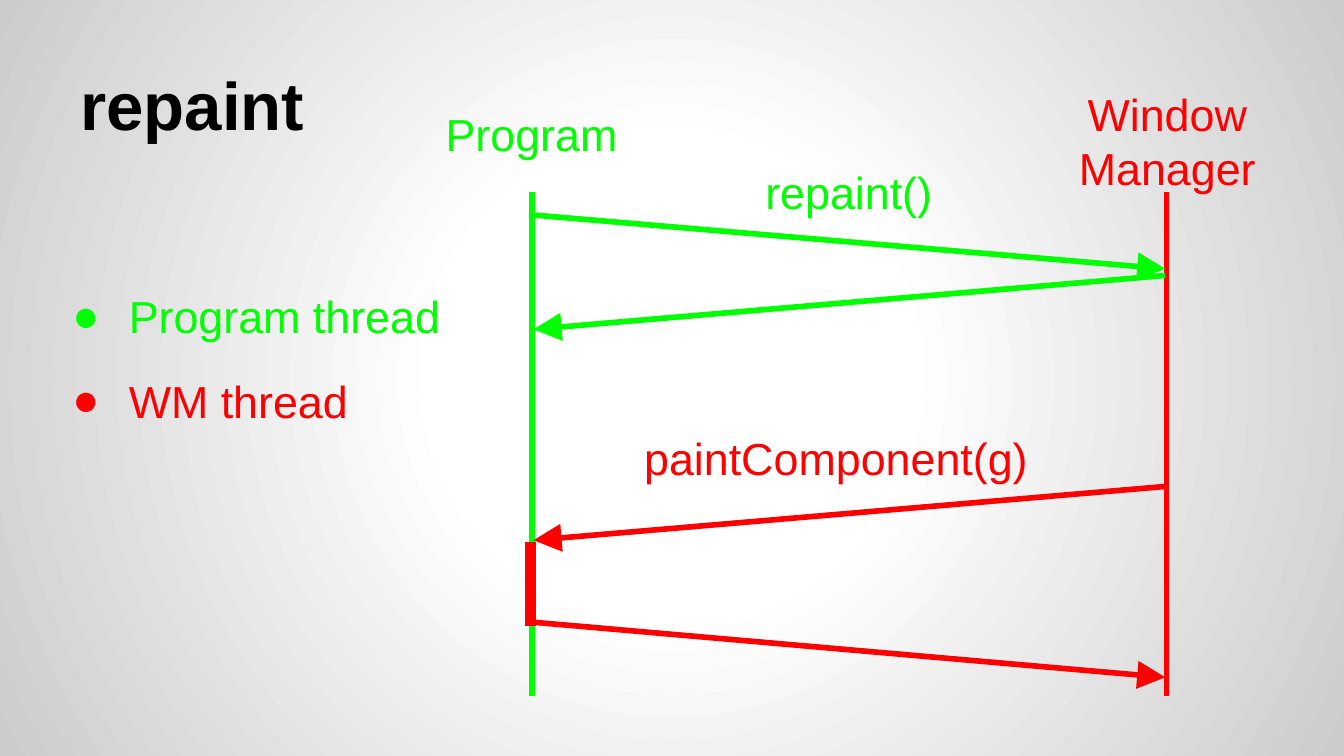
from dataclasses import dataclass
from lxml import etree
from pptx import Presentation
from pptx.dml.color import RGBColor as Rgb
from pptx.enum.shapes import MSO_CONNECTOR as Link
from pptx.enum.text import MSO_ANCHOR as Anchor, PP_ALIGN as Align
from pptx.oxml.ns import qn
from pptx.util import Inches, Pt

INK = {"black": "000000", "green": "00FF00", "red": "FF0000", "white": "FFFFFF", "gray": "CCCCCC"}
FONT = "Arial"
WIDTH = 10
LEFT, RIGHT = 3.96, 8.68
TOP, BOTTOM = 1.43, 5.18
GAP = 0.01


@dataclass
class Line:
    x1: float
    y1: float
    x2: float
    y2: float
    ink: str
    width: float = 3
    arrow: bool = False


@dataclass
class Label:
    text: str
    x: float
    y: float
    w: float
    h: float
    ink: str


def call(y1: float, y2: float, ink: str, back: bool = False) -> Line:
    start, end = LEFT + GAP, RIGHT - GAP
    if back:
        start, end = end, start
    return Line(start, y1, end, y2, ink, arrow=True)


LINES = [
    Line(LEFT, TOP, LEFT, BOTTOM, "green"),
    Line(RIGHT, TOP, RIGHT, BOTTOM, "red"),
    call(1.6, 2, "green"),
    call(2.05, 2.45, "green", True),
    call(3.62, 4.02, "red", True),
    call(4.63, 5.04, "red"),
]
PAINT = Line(3.95, 4.03, 3.95, 4.66, "red", 6)
LABELS = [
    Label("Program", 3.12, 0.65, 1.67, 0.69, "green"),
    Label("Window Manager", 7.85, 0.65, 1.67, 0.79, "red"),
    Label("repaint()", 5.48, 1.08, 1.67, 0.69, "green"),
    Label("paintComponent(g)", 4.59, 3.06, 3.26, 0.69, "red"),
]
THREADS = [("Program thread", "green"), ("WM thread", "red")]


def color(ink: str) -> Rgb:
    return Rgb.from_string(INK[ink])


def sub(node, tag: str, **attrs: str):
    return etree.SubElement(node, qn(tag), attrs)


def paint_back(slide) -> None:
    fill = slide.background.fill
    fill.gradient()
    grad = slide.background._cSld.find(".//" + qn("a:gradFill"))
    for node in list(grad):
        grad.remove(node)
    stops = sub(grad, "a:gsLst")
    for pos, ink in [(0, "white"), (30, "white"), (100, "gray")]:
        stop = sub(stops, "a:gs", pos=str(pos * 1000))
        sub(stop, "a:srgbClr", val=INK[ink])
    way = sub(grad, "a:path", path="circle")
    sub(way, "a:fillToRect", l="50000", t="50000", r="50000", b="50000")


def draw_line(slide, item: Line) -> None:
    ends = [Inches(v) for v in (item.x1, item.y1, item.x2, item.y2)]
    link = slide.shapes.add_connector(Link.STRAIGHT, *ends)
    link.line.color.rgb = color(item.ink)
    link.line.width = Pt(item.width)
    if item.arrow:
        sub(link.line._get_or_add_ln(), "a:tailEnd", type="triangle", w="lg", len="lg")
    sub(link._element.spPr, "a:effectLst")


def add_frame(slide, x: float, y: float, w: float, h: float, anchor: Anchor):
    frame = slide.shapes.add_textbox(Inches(x), Inches(y), Inches(w), Inches(h)).text_frame
    frame.word_wrap = True
    frame.vertical_anchor = anchor
    frame.margin_left = frame.margin_right = Inches(0.1)
    frame.margin_top = frame.margin_bottom = Inches(0.1)
    return frame


def write(para, text: str, ink: str, size: int = 24, bold: bool = False) -> None:
    para.text = text
    font = para.font
    font.name, font.size, font.bold = FONT, Pt(size), bold
    font.color.rgb = color(ink)


def draw_label(slide, item: Label) -> None:
    frame = add_frame(slide, item.x, item.y, item.w, item.h, Anchor.MIDDLE)
    para = frame.paragraphs[0]
    write(para, item.text, item.ink)
    para.alignment = Align.CENTER


def draw_list(slide) -> None:
    frame = add_frame(slide, 0.36, 2.05, 3.39, 2.07, Anchor.TOP)
    for i, (text, ink) in enumerate(THREADS):
        para = frame.add_paragraph() if i else frame.paragraphs[0]
        para.space_before = Pt(16.5 if i else 0)
        props = para._p.get_or_add_pPr()
        props.set("marL", str(Inches(0.5)))
        props.set("indent", str(Inches(-0.42)))
        sub(sub(props, "a:buClr"), "a:srgbClr", val=INK[ink])
        sub(props, "a:buFont", typeface=FONT)
        sub(props, "a:buChar", char="●")
        write(para, text, ink)


def main() -> None:
    deck = Presentation()
    deck.slide_width = Inches(WIDTH)
    deck.slide_height = Inches(WIDTH * 9 / 16)
    slide = deck.slides.add_slide(deck.slide_layouts[6])
    paint_back(slide)
    title = add_frame(slide, 0.5, 0.23, 9, 0.94, Anchor.BOTTOM)
    write(title.paragraphs[0], "repaint", "black", 36, True)
    for item in LINES:
        draw_line(slide, item)
    for item in LABELS:
        draw_label(slide, item)
    draw_line(slide, PAINT)
    draw_list(slide)
    deck.save("out.pptx")


if __name__ == "__main__":
    main()
